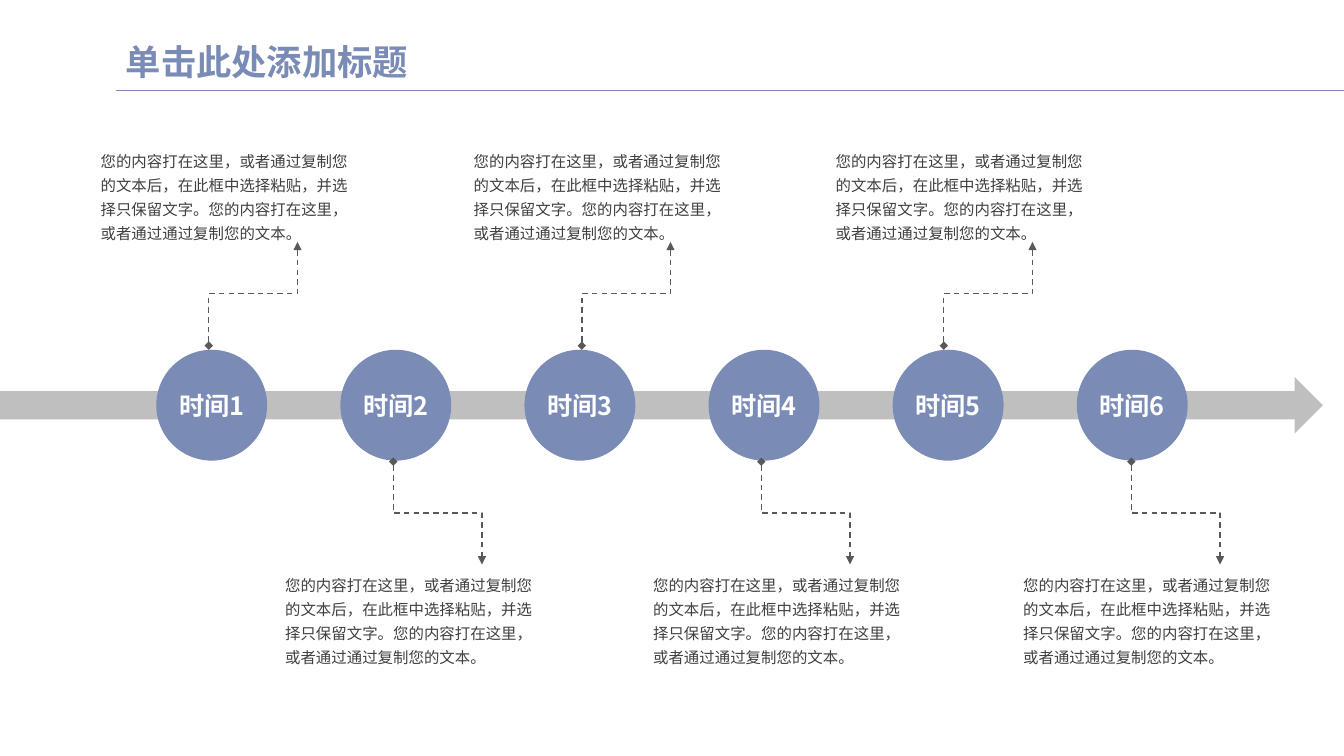
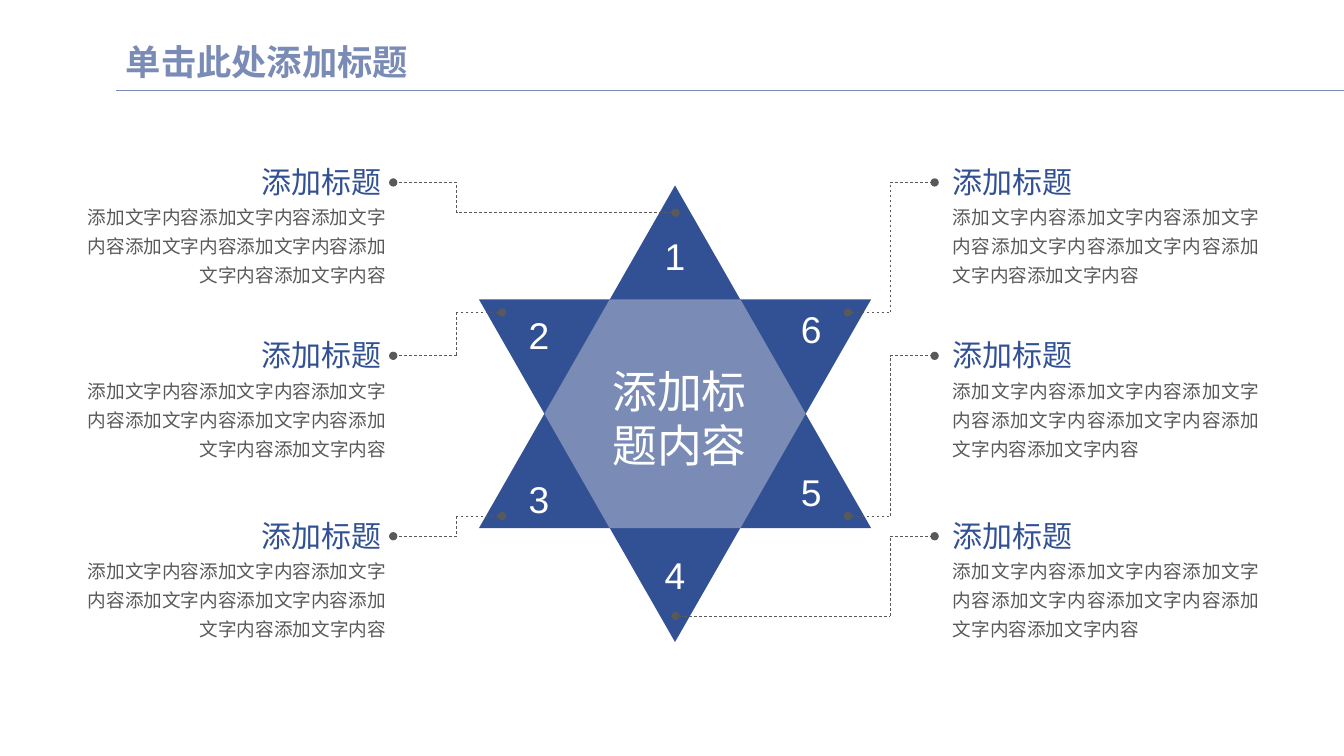
import dataclasses

import pptx
import pptx.dml.color
import pptx.enum.dml
import pptx.enum.shapes
import pptx.enum.text
import pptx.oxml
import pptx.oxml.ns
import pptx.util

Inches = pptx.util.Inches
Shape = pptx.enum.shapes.MSO_SHAPE
Link = pptx.enum.shapes.MSO_CONNECTOR
Align = pptx.enum.text.PP_ALIGN
Anchor = pptx.enum.text.MSO_ANCHOR

TITLE = "单击此处添加标题"
NOTE = "您的内容打在这里，或者通过复制您的文本后，在此框中选择粘贴，并选择只保留文字。您的内容打在这里，或者通过通过复制您的文本。"
HEAD = "添加标题"
BODY = "添加文字内容" * 7


@dataclasses.dataclass(frozen=True)
class Theme:
    light: str = "7A8CB6"
    deep: str = "325094"
    band: str = "BFBFBF"
    gray: str = "595959"
    dark: str = "404040"
    white: str = "FFFFFF"
    title: float = 25.2
    time: float = 18
    note: float = 11
    digit: float = 26.6
    core: float = 32
    head: float = 21.4
    body: float = 13.3
    face: str = "Arial"
    bold: str = "Montserrat"
    asian: str = "Noto Sans CJK SC"


class Deck:
    def __init__(self, theme):
        self.theme = theme
        self.show = pptx.Presentation()
        self.show.slide_width = Inches(13.33)
        self.show.slide_height = Inches(7.5)
        self.slide = None

    def page(self, title):
        t = self.theme
        self.slide = self.show.slides.add_slide(self.show.slide_layouts[6])
        self.line((1.15, 0.9), (13.33, 0.9), t.light)
        self.text((1.15, 0.38, 11.5, 0.52), title, t.title, t.light, t.bold,
                  bold=True, space=0.9, anchor=Anchor.MIDDLE)

    def label(self, frame, words, size, color, face, align=Align.LEFT,
              bold=False, space=None, anchor=Anchor.TOP, pad=(0.1, 0.05)):
        frame.word_wrap = True
        frame.vertical_anchor = anchor
        frame.margin_left = frame.margin_right = Inches(pad[0])
        frame.margin_top = frame.margin_bottom = Inches(pad[1])
        para = frame.paragraphs[0]
        para.alignment = align
        if space:
            para.line_spacing = space
        run = para.add_run()
        run.text = words
        font = run.font
        font.size = pptx.util.Pt(size)
        font.bold = bold
        font.name = face
        font.color.rgb = pptx.dml.color.RGBColor.from_string(color)
        asian = pptx.oxml.parse_xml(
            f'<a:ea {pptx.oxml.ns.nsdecls("a")} typeface="{self.theme.asian}"/>')
        run._r.rPr.find(pptx.oxml.ns.qn("a:latin")).addnext(asian)

    def text(self, box, *words, **style):
        area = self.slide.shapes.add_textbox(*map(Inches, box))
        self.label(area.text_frame, *words, **style)

    def paint(self, shape, color):
        shape.shadow.inherit = False
        shape.fill.solid()
        shape.fill.fore_color.rgb = pptx.dml.color.RGBColor.from_string(color)
        shape.line.fill.background()

    def shape(self, kind, box, color):
        shape = self.slide.shapes.add_shape(kind, *map(Inches, box))
        self.paint(shape, color)
        return shape

    def outline(self, spots, color):
        first, *rest = [(Inches(x), Inches(y)) for x, y in spots]
        pen = self.slide.shapes.build_freeform(*first)
        pen.add_line_segments(rest, close=True)
        self.paint(pen.convert_to_shape(), color)

    def line(self, start, end, color, width=0.5, dash=False, head=None,
             tail=None, kind=Link.STRAIGHT):
        line = self.slide.shapes.add_connector(kind, *map(Inches, start + end))
        line.line.width = pptx.util.Pt(width)
        line.line.color.rgb = pptx.dml.color.RGBColor.from_string(color)
        if dash:
            line.line.dash_style = pptx.enum.dml.MSO_LINE.DASH
        names = pptx.oxml.ns.nsdecls("a")
        for tag, tip in (("headEnd", head), ("tailEnd", tail)):
            if tip:
                line.line._ln.append(
                    pptx.oxml.parse_xml(f'<a:{tag} {names} type="{tip}"/>'))
        line._element.spPr.append(pptx.oxml.parse_xml(f"<a:effectLst {names}/>"))
        return line

    def bend(self, start, end):
        wide, high = end[0] - start[0], abs(end[1] - start[1])
        x, y = (start[0] + end[0]) / 2, (start[1] + end[1]) / 2
        rise = 1 if end[1] < start[1] else -1
        line = self.line((x + high / 2, y + rise * wide / 2),
                         (x - high / 2, y - rise * wide / 2),
                         self.theme.gray, 1, True, "diamond", "triangle", Link.ELBOW)
        turn = 90 if rise > 0 else 270
        line._element.spPr.find(pptx.oxml.ns.qn("a:xfrm")).set("rot", str(turn * 60000))

    def route(self, start, mid, end):
        gray = self.theme.gray
        high, low = (mid, start[1]), (mid, end[1])
        self.line(start, high, gray, dash=True, head="oval")
        self.line(high, low, gray, dash=True)
        self.line(low, end, gray, dash=True, tail="oval")


def draw_time(deck):
    t = deck.theme
    deck.page(TITLE)
    deck.shape(Shape.RIGHT_ARROW, (0, 3.74, 13.12, 0.56), t.band)
    step = (10.68 - 1.55) / 5
    for i, left in enumerate((0.9, 2.73, 4.6, 6.38, 8.19, 10.05)):
        disc = deck.shape(Shape.OVAL, (1.55 + step * i, 3.47, 1.1, 1.1), t.light)
        deck.label(disc.text_frame, f"时间{i + 1}", t.time, t.white, t.asian,
                   Align.CENTER, bold=True, anchor=Anchor.MIDDLE, pad=(0, 0.05))
        top, start, end = (5.61, 4.58, 5.6) if i % 2 else (1.41, 3.43, 2.4)
        deck.bend((left + 1.17, start), (left + 2.05, end))
        deck.text((left, top, 2.76, 1.06), NOTE, t.note, t.dark, t.asian, space=1.3)


def draw_star(deck):
    t = deck.theme
    deck.page(TITLE)
    left, wide, high, top, base = 4.75, 3.89, 3.4, 1.84, 2.97
    down = deck.shape(Shape.ISOSCELES_TRIANGLE, (left, base, wide, high), t.deep)
    down._element.spPr.find(pptx.oxml.ns.qn("a:xfrm")).set("flipV", "1")
    deck.shape(Shape.ISOSCELES_TRIANGLE, (left, top, wide, high), t.deep)

    digits = ((6.45, 2.31), (5.1, 3.1), (5.1, 4.72),
              (6.45, 5.48), (7.8, 4.66), (7.8, 3.04))
    for i, (x, y) in enumerate(digits, 1):
        tile = deck.shape(Shape.RECTANGLE, (x, y, 0.49, 0.45), t.deep)
        deck.label(tile.text_frame, str(i), t.digit, t.white, t.face,
                   Align.CENTER, pad=(0, 0))

    low = top + high
    mid = (base + low) / 2
    cols = [left + wide * k / 6 for k in range(7)]
    deck.outline(((cols[4], base), (cols[5], mid), (cols[4], low),
                  (cols[2], low), (cols[1], mid), (cols[2], base)), t.light)
    deck.text((5.88, 3.61, 1.72, 1.08), "添加标题内容", t.core, t.white, t.face,
              align=Align.CENTER, pad=(0, 0))

    rows = (1.62, 3.34, 5.13)
    sides = ((0.68, 0.79, Align.RIGHT, Align.RIGHT, 4.53, 3.9,
              ((6.7, 2.11), (4.98, 3.1), (4.98, 5.12))),
             (9.45, 9.45, Align.LEFT, Align.JUSTIFY, 8.83, 9.27,
              ((8.41, 3.1), (8.41, 5.12), (6.7, 6.11))))
    for head, body, align, flow, bend, end, tips in sides:
        for y, tip in zip(rows, tips):
            deck.text((head, y, 3.1, 0.36), HEAD, t.head, t.deep, t.face,
                      align=align, pad=(0, 0))
            deck.text((body, y + 0.36, 3.04, 0.87), BODY, t.body, t.gray, t.face,
                      align=flow, space=1.3, pad=(0, 0))
            deck.route(tip, bend, (end, y + 0.19))


def main():
    deck = Deck(Theme())
    draw_time(deck)
    draw_star(deck)
    deck.show.save("out.pptx")


if __name__ == "__main__":
    main()
